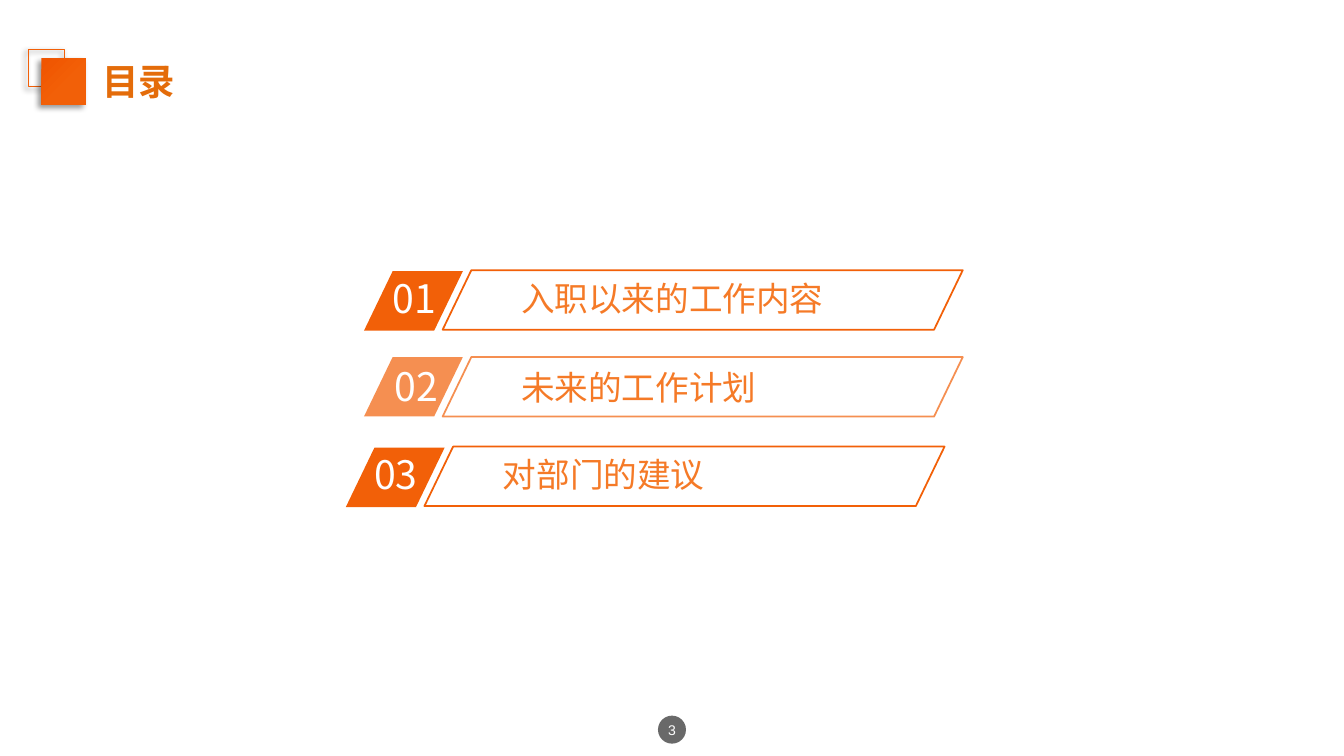
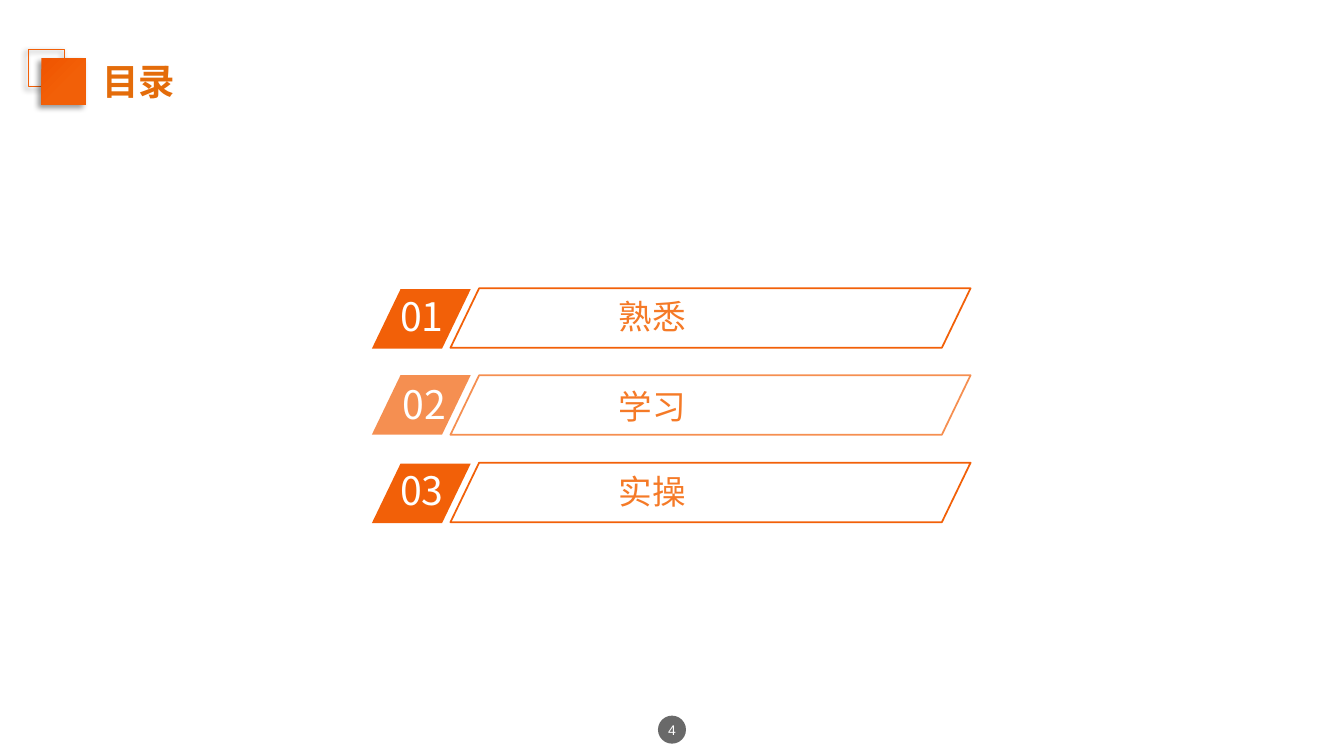
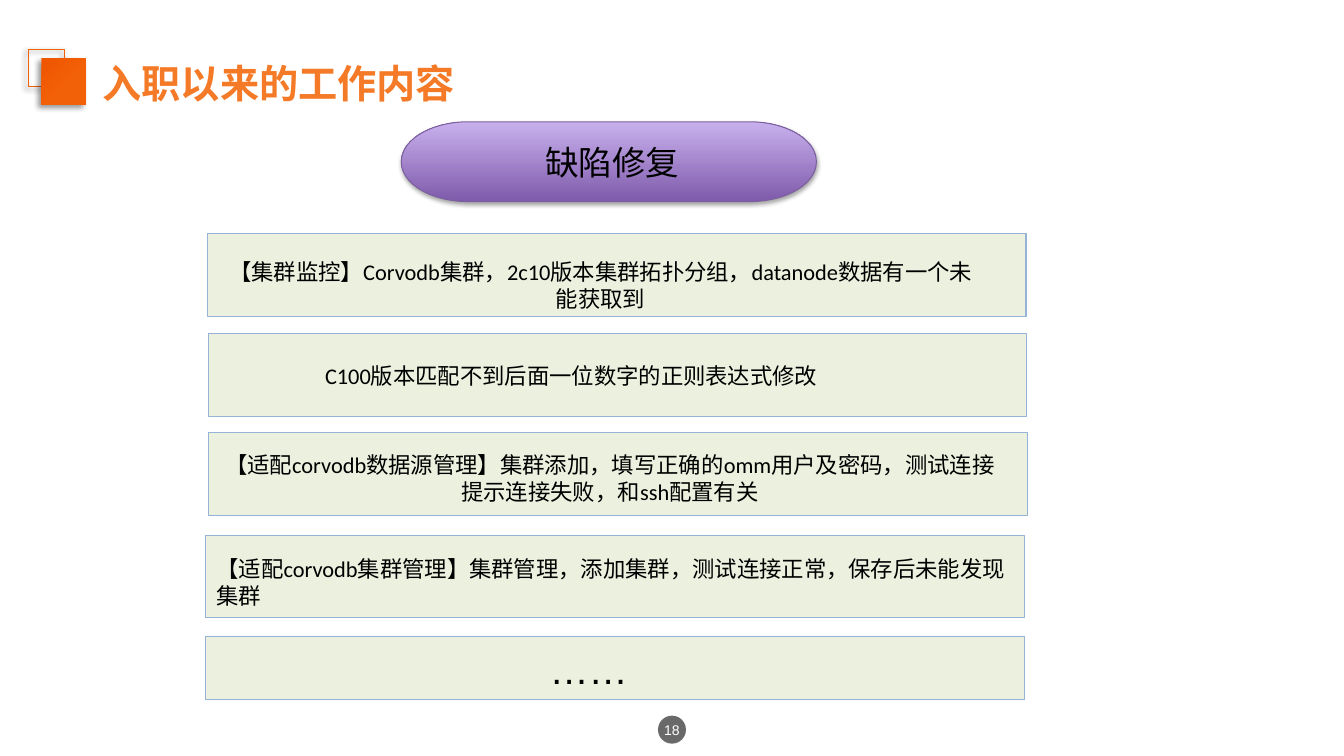
from dataclasses import dataclass
from typing import Optional

from pptx import Presentation
from pptx.dml.color import RGBColor
from pptx.enum.shapes import MSO_SHAPE as Kind
from pptx.enum.text import MSO_ANCHOR as Anchor, PP_ALIGN as Align
from pptx.oxml import parse_xml
from pptx.oxml.ns import nsdecls, qn
from pptx.util import Pt

ORANGE = RGBColor(0xF2, 0x60, 0x08)
DEEP = RGBColor(0xF0, 0x55, 0x00)
AMBER = RGBColor(0xF5, 0x7A, 0x27)
RUST = RGBColor(0xE4, 0x6C, 0x0A)
GREY = RGBColor(0x59, 0x59, 0x59)
PLUM = RGBColor(0x7F, 0x5B, 0xAB)
LILAC = RGBColor(0xC8, 0xB0, 0xED)
VIOLET = RGBColor(0x7D, 0x60, 0xA0)
SAGE = RGBColor(0xEB, 0xF1, 0xDE)
SKY = RGBColor(0x95, 0xB3, 0xD7)
BLACK = RGBColor(0, 0, 0)
WHITE = RGBColor(0xFF, 0xFF, 0xFF)

WIDE, HIGH = 960, 540
NOTO = "Noto Sans CJK SC"
SLANT = 0.482
VEIL = [(7, WHITE, 10), (23, WHITE, 40), (55, WHITE, 50), (81, WHITE, 40), (95, WHITE, 10)]


@dataclass(frozen=True)
class Box:
    x: float
    y: float
    w: float
    h: float

    def lens(self) -> list:
        return [Pt(n) for n in (self.x, self.y, self.w, self.h)]


@dataclass(frozen=True)
class Style:
    size: float
    color: RGBColor
    font: str = NOTO
    bold: bool = False
    align: Align = Align.LEFT
    space: Optional[float] = None


@dataclass(frozen=True)
class Row:
    x: float
    y: float
    label: str
    faded: bool = False


@dataclass(frozen=True)
class Bar:
    box: Box
    text: str
    area: Box
    style: Style


NUM = Style(28, WHITE)
LABEL = Style(24, AMBER)
PAGE = Style(10, WHITE, "Arial", align=Align.CENTER)
HEAD = Style(26, RUST, bold=True)
TOPIC = Style(28, AMBER, bold=True)
BADGE = Style(24, BLACK, align=Align.CENTER)
NOTE = Style(16, BLACK, "Calibri", align=Align.CENTER)
LEFT = Style(16, BLACK, "Calibri")
DOTS = Style(28, BLACK, "Arial", align=Align.CENTER, space=1.2)

PARTS = [
    Row(260, 193.7, "入职以来的工作内容"),
    Row(260, 255, "未来的工作计划", True),
    Row(247, 319.7, "对部门的建议"),
]
STEPS = [
    Row(265.6, 206.6, "熟悉"),
    Row(265.6, 268, "学习", True),
    Row(265.6, 331.2, "实操"),
]
BARS = [
    Bar(Box(148.3, 167, 584.6, 59),
        "【集群监控】Corvodb集群，2c10版本集群拓扑分组，datanode数据有一个未能获取到",
        Box(155.5, 180.7, 547, 46), NOTE),
    Bar(Box(148.7, 238.3, 584.6, 59),
        "C100版本匹配不到后面一位数字的正则表达式修改",
        Box(156.2, 255, 504, 27), NOTE),
    Bar(Box(149.2, 309.2, 584.6, 59),
        "【适配corvodb数据源管理】集群添加，填写正确的omm用户及密码，测试连接提示连接失败，和ssh配置有关",
        Box(147, 319, 577.4, 46), NOTE),
    Bar(Box(147, 382.3, 584.6, 59),
        "【适配corvodb集群管理】集群管理，添加集群，测试连接正常，保存后未能发现集群",
        Box(147.6, 393.1, 591.8, 46), LEFT),
    Bar(Box(147, 454.5, 584.6, 45.4), "……", Box(147, 450.7, 547, 44), DOTS),
]


def shape(slide, kind: Kind, box: Box, fill: Optional[RGBColor] = None,
          line: Optional[RGBColor] = None, width: float = 1):
    item = slide.shapes.add_shape(kind, *box.lens())
    item.shadow.inherit = False
    if fill is None:
        item.fill.background()
    else:
        item.fill.solid()
        item.fill.fore_color.rgb = fill
    if line is None:
        item.line.fill.background()
    else:
        item.line.color.rgb = line
        item.line.width = Pt(width)
    return item


def blend(item, stops: list, angle: int) -> None:
    """Swap the empty fill for a gradient of (position, colour, opacity) stops."""
    marks = "".join(
        f'<a:gs pos="{pos * 1000}"><a:srgbClr val="{color}">'
        f'<a:alpha val="{alpha * 1000}"/></a:srgbClr></a:gs>'
        for pos, color, alpha in stops)
    grad = parse_xml(
        f'<a:gradFill {nsdecls("a")} rotWithShape="1"><a:gsLst>{marks}</a:gsLst>'
        f'<a:lin ang="{angle * 60000}" scaled="0"/></a:gradFill>')
    props = item.element.spPr
    props.replace(props.find(qn("a:noFill")), grad)


def fade(item, alpha: int) -> None:
    """Make the fill and line colours see-through."""
    for color in item.element.spPr.iter(qn("a:srgbClr")):
        color.append(parse_xml(f'<a:alpha {nsdecls("a")} val="{alpha * 1000}"/>'))


def shade(item, alpha: int, blur: float, dist: float, angle: int) -> None:
    """Add an outer shadow."""
    item.element.spPr.find(qn("a:effectLst")).append(parse_xml(
        f'<a:outerShdw {nsdecls("a")} blurRad="{Pt(blur)}" dist="{Pt(dist)}" '
        f'dir="{angle * 60000}" rotWithShape="0"><a:srgbClr val="{BLACK}">'
        f'<a:alpha val="{alpha * 1000}"/></a:srgbClr></a:outerShdw>'))


def write(item, text: str, style: Style) -> None:
    frame = item.text_frame
    frame.word_wrap = True
    frame.text = text
    para = frame.paragraphs[0]
    para.alignment = style.align
    if style.space:
        para.line_spacing = style.space
    for run in para.runs:
        font = run.font
        font.size = Pt(style.size)
        font.bold = style.bold
        font.name = style.font
        font.color.rgb = style.color
    for latin in list(item.element.iter(qn("a:latin"))):
        latin.addnext(parse_xml(f'<a:ea {nsdecls("a")} typeface="{NOTO}"/>'))


def inset(item, left: float, top: float, right: float, base: float) -> None:
    frame = item.text_frame
    frame.margin_left, frame.margin_top = Pt(left), Pt(top)
    frame.margin_right, frame.margin_bottom = Pt(right), Pt(base)


def label(slide, box: Box, text: str, style: Style):
    item = slide.shapes.add_textbox(*box.lens())
    write(item, text, style)
    item.text_frame.vertical_anchor = Anchor.TOP
    return item


def base(deck, title: str, style: Style, page: int):
    """Start a slide with page number, veil, title mark and title."""
    slide = deck.slides.add_slide(deck.slide_layouts[6])
    disc = shape(slide, Kind.OVAL, Box(470, 511.2, 20, 20), GREY)
    write(disc, str(page), PAGE)
    inset(disc, 0, 0, 0, 0)
    blend(shape(slide, Kind.RECTANGLE, Box(0, 0, WIDE, HIGH)), VEIL, 90)

    back = shape(slide, Kind.RECTANGLE, Box(20.2, 35.3, 26, 26.6), line=ORANGE)
    front = shape(slide, Kind.RECTANGLE, Box(29.5, 41.8, 31.7, 33.1))
    blend(front, [(3, DEEP, 100), (59, ORANGE, 100)], 45)
    for mark in (back, front):
        shade(mark, 40, 4, 3, 135)
    label(slide, Box(66.2, 38.9, 517.7, 40), title, style)
    return slide


def entry(slide, num: int, row: Row, indent: float) -> None:
    """Draw one agenda row; the text of a faded row sits slightly lower."""
    x, y = row.x, row.y
    drop = 1.5 if row.faded else 0
    tile = shape(slide, Kind.PARALLELOGRAM, Box(x, y, 70.6, 42.5), ORANGE)
    rim = shape(slide, Kind.PARALLELOGRAM, Box(x + 56.2, y - 0.7 + drop / 2, 371.5, 42.5),
                line=ORANGE, width=1.25)
    for item in (tile, rim):
        item.adjustments[0] = SLANT
        if row.faded:
            fade(item, 70)
    label(slide, Box(x + 13.2 + drop, y - 1.5 + drop, 60.5, 42.5), f"{num:02}", NUM)
    text = label(slide, Box(x + 107.3, y + 1.8 + drop * 1.7, 272, 35), row.label, LABEL)
    inset(text, 5 + indent, 3, 5, 3)


def agenda(deck, page: int, rows: list, indent: float = 0) -> None:
    slide = base(deck, "目录", HEAD, page)
    for num, row in enumerate(rows, 1):
        entry(slide, num, row, indent)


def fixes(deck, page: int) -> None:
    slide = base(deck, "入职以来的工作内容", TOPIC, page)
    badge = shape(slide, Kind.FLOWCHART_TERMINATOR, Box(286.6, 87, 296.6, 57),
                  line=VIOLET, width=0.75)
    blend(badge, [(0, PLUM, 100), (100, LILAC, 100)], 270)
    shade(badge, 35, 3.1, 1.8, 90)
    write(badge, "缺陷修复", BADGE)
    inset(badge, 12, 3.6, 7.2, 3.6)
    for bar in BARS:
        shape(slide, Kind.RECTANGLE, bar.box, SAGE, SKY, 0.75)
        label(slide, bar.area, bar.text, bar.style)


def main() -> None:
    deck = Presentation()
    deck.slide_width, deck.slide_height = Pt(WIDE), Pt(HIGH)
    agenda(deck, 3, PARTS)
    agenda(deck, 4, STEPS, indent=64)
    fixes(deck, 18)
    deck.save("out.pptx")


if __name__ == "__main__":
    main()
